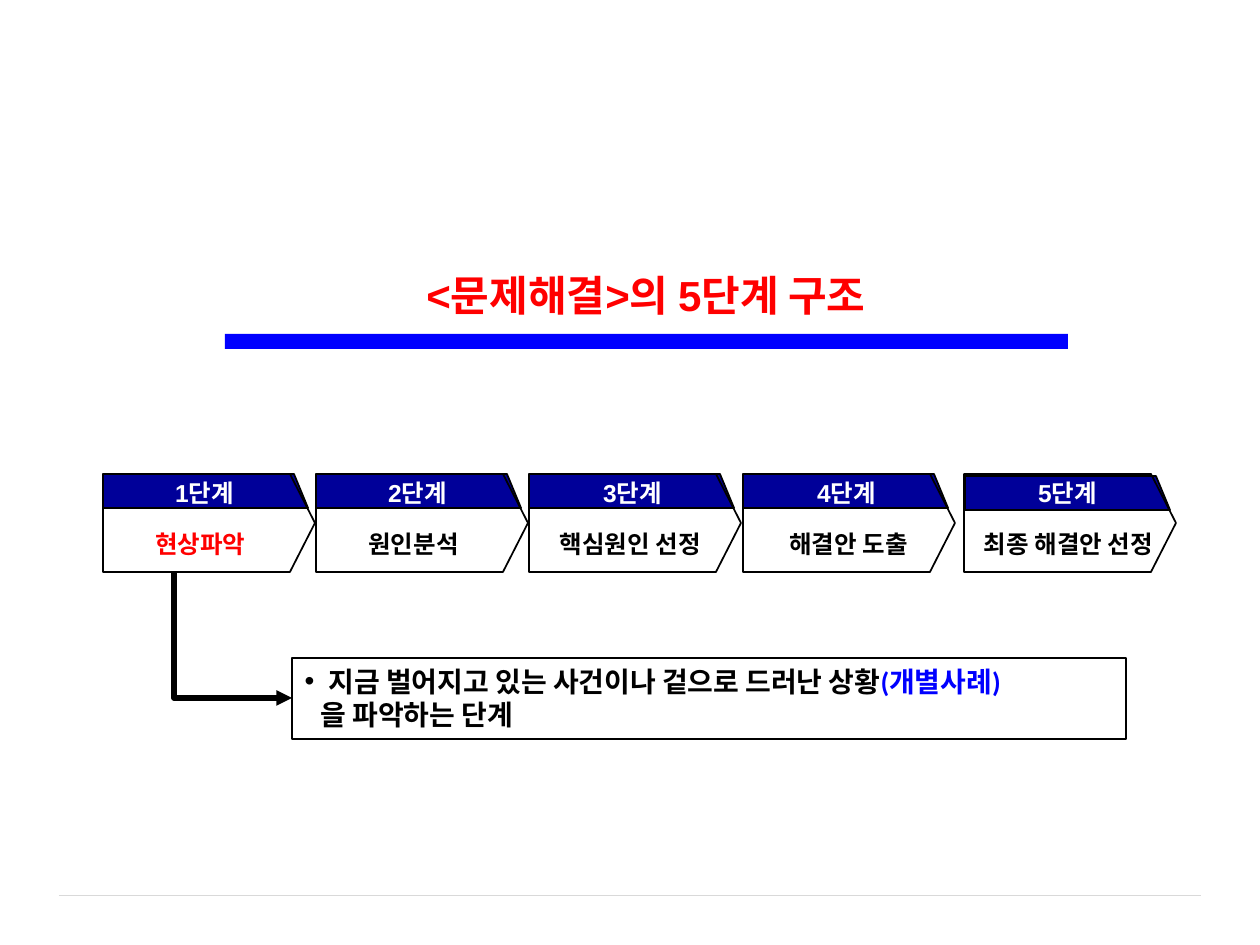
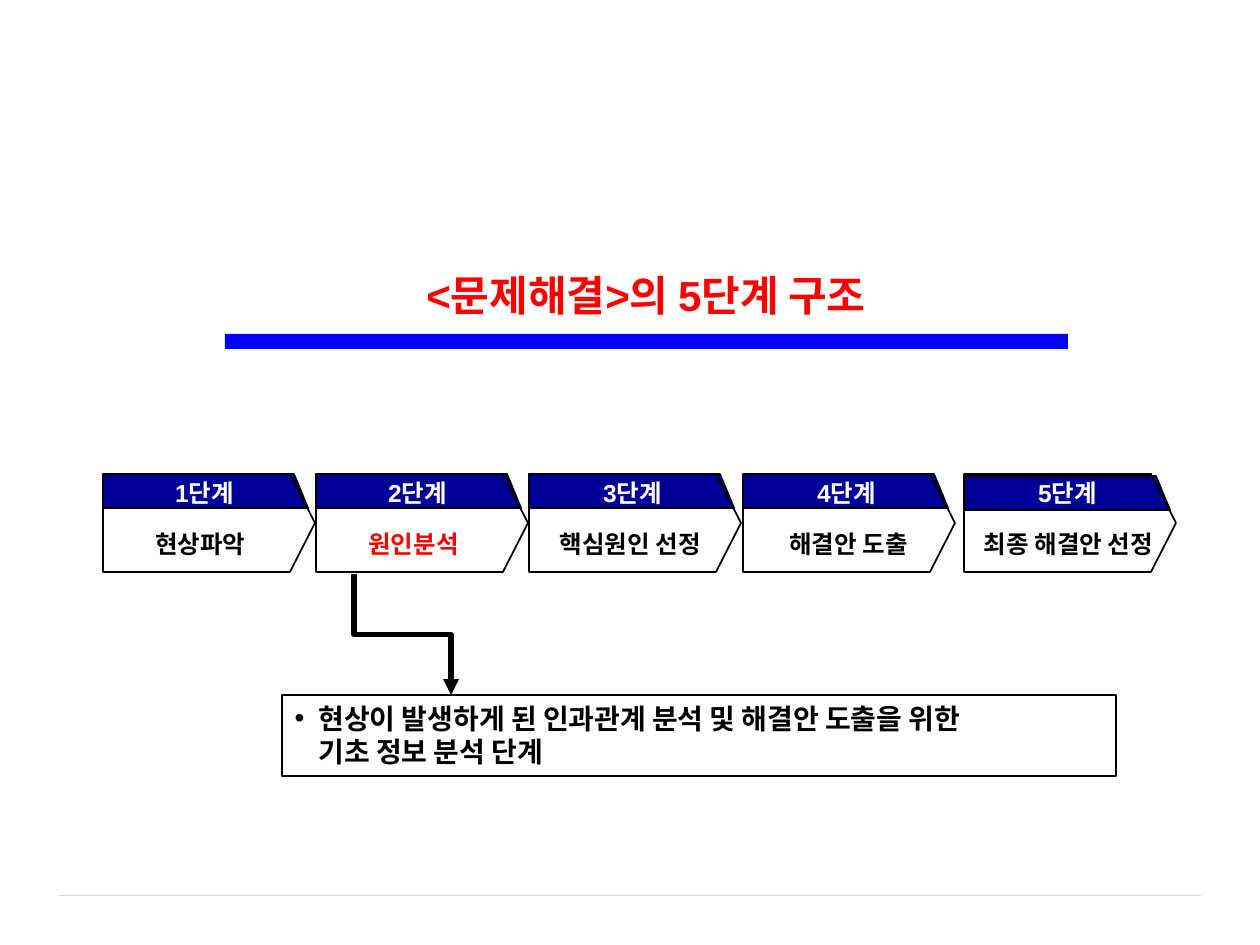
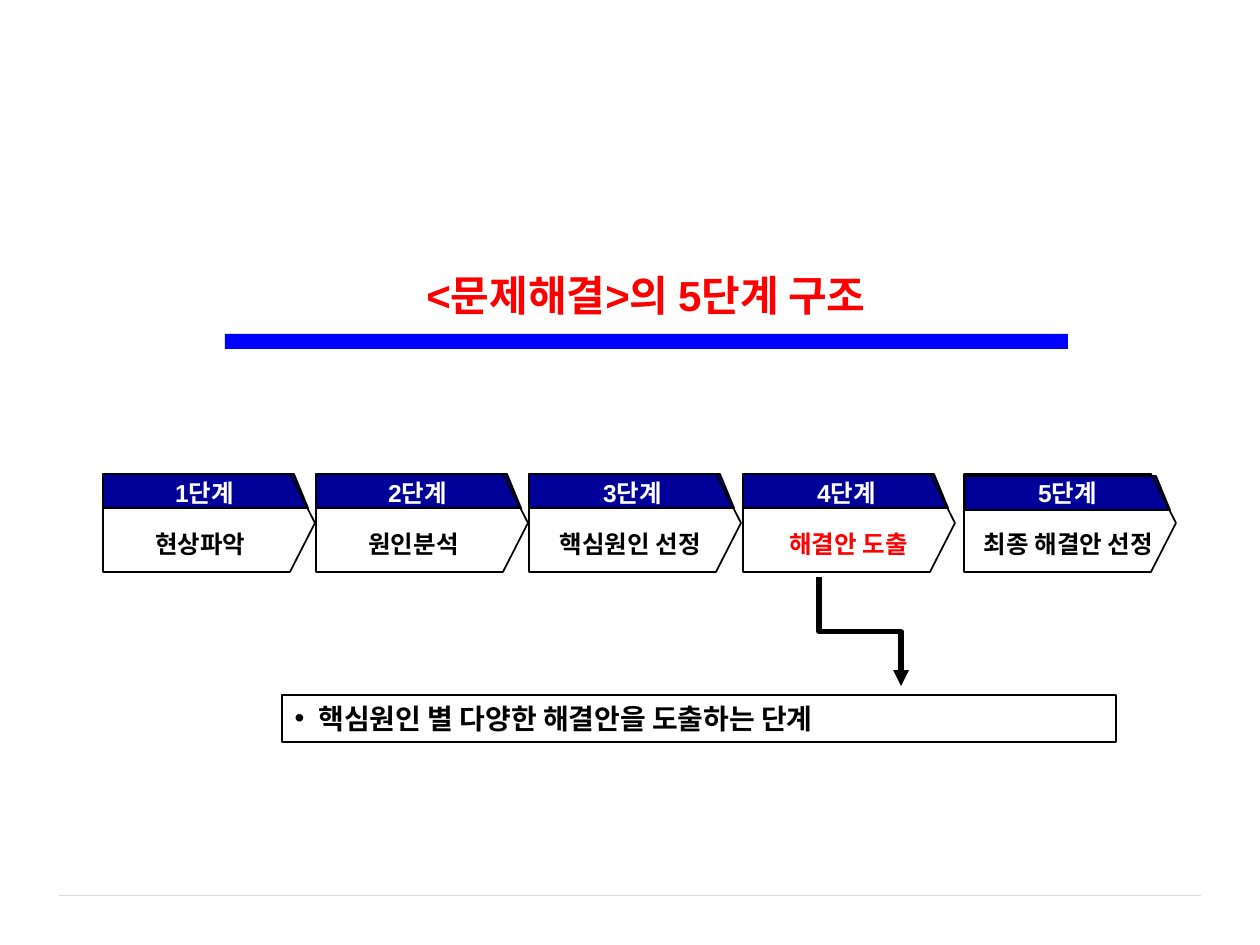
from lxml.etree import SubElement
from pptx import Presentation
from pptx.dml.color import RGBColor
from pptx.enum.shapes import MSO_CONNECTOR, MSO_SHAPE
from pptx.enum.text import MSO_ANCHOR, MSO_AUTO_SIZE, PP_ALIGN
from pptx.oxml.ns import qn
from pptx.util import Emu, Pt

RED, BLUE, NAVY = "FF0000", "0000FF", "000099"
BLACK, WHITE, GREY = "000000", "FFFFFF", "D9D9D9"

TITLE = "<문제해결>의 5단계 구조"

# name, plate left, (band shift right, down), label shift, name shift
STEPS = [
    ("현상파악", 103, (0, 0), -2, -10),
    ("원인분석", 316, (0, 0), -2, -10),
    ("핵심원인 선정", 529, (0, 0), 0, -6),
    ("해결안 도출", 743, (0, 0), 0, -2),
    ("최종 해결안 선정", 964, (1, 2), 0, -3),
]

# Each line of a note is its left indent and its (text, colour) spans
SLIDES = [
    dict(step=1, box=(292, 658, 834, 81), bend="bentConnector2",
         start=(174, 572), end=(292, 698),
         lines=[(24, [("지금 벌어지고 있는 사건이나 겉으로 드러난 상황", BLACK),
                      ("(개별사례)", BLUE)]),
                (16, [("을 파악하는 단계", BLACK)])]),
    dict(step=2, box=(282, 695, 834, 81), bend="bentConnector3",
         start=(354, 574), end=(451, 695),
         lines=[(24, [("현상이 발생하게 된 인과관계 분석 및 해결안 도출을 위한", BLACK)]),
                (24, [("기초 정보 분석 단계", BLACK)])]),
    dict(step=4, box=(282, 695, 834, 47), bend="bentConnector3",
         start=(819, 577), end=(901, 686),
         lines=[(24, [("핵심원인 별 다양한 해결안을 도출하는 단계", BLACK)])]),
]

PLATE_TOP, PLATE_WIDTH, PLATE_HEIGHT = 474, 212, 98
BAND_WIDTH, BAND_HEIGHT, BAND_SLANT = 205, 34, 14
HANGING = 24


def px(length):
    return Emu(round(length * 914400 / 126))


def rgb(color):
    return RGBColor.from_string(color)


def place(shape, left, top, width, height):
    shape.left, shape.top, shape.width, shape.height = map(px, (left, top, width, height))


def paint(shape, fill=None, line=None, weight=1):
    if fill:
        shape.fill.solid()
        shape.fill.fore_color.rgb = rgb(fill)
    else:
        shape.fill.background()
    if line:
        shape.line.color.rgb = rgb(line)
        shape.line.width = Pt(weight)
    else:
        shape.line.fill.background()


def set_font(font, name, size, color=None):
    font.name, font.size, font.bold = name, Pt(size), True
    if color:
        font.color.rgb = rgb(color)


def write_centred(shape, text, size, color, anchor=MSO_ANCHOR.TOP):
    frame = shape.text_frame
    frame.word_wrap = True
    frame.auto_size = MSO_AUTO_SIZE.NONE
    frame.vertical_anchor = anchor
    para = frame.paragraphs[0]
    para.text = text
    para.alignment = PP_ALIGN.CENTER
    set_font(para.font, "Arial", size, color)


def add_line(slide, kind, corners, color, weight):
    line = slide.shapes.add_connector(kind, *map(px, corners))
    line.line.color.rgb = rgb(color)
    line.line.width = Pt(weight)
    SubElement(line.element.spPr, qn("a:effectLst"))
    return line


def add_footer_line(deck, slide):
    """Draw the line and hand it to the master, which all slides share."""
    element = add_line(slide, MSO_CONNECTOR.STRAIGHT, (59, 895, 1201, 895), GREY, 0.5).element
    element.nvCxnSpPr.cNvPr.id = 99
    deck.slide_master.shapes.element.append(element)


def add_heading(slide):
    title = slide.shapes.title
    place(title, 185, 263, 922, 63)
    write_centred(title, TITLE, 24, RED)
    rule = slide.shapes.add_shape(MSO_SHAPE.RECTANGLE, *map(px, (225, 334, 843, 15)))
    rule.shadow.inherit = False
    paint(rule, fill=BLUE)


def add_step(slide, number, step, current):
    name, left, (right, down), label_shift, name_shift = step
    shapes = slide.shapes.add_group_shape().shapes

    x, y = left + right, PLATE_TOP + down
    outline = shapes.build_freeform(px(x), px(y))
    corners = [(x, y + BAND_HEIGHT), (x + BAND_WIDTH, y + BAND_HEIGHT),
               (x + BAND_WIDTH - BAND_SLANT, y)]
    outline.add_line_segments([(px(a), px(b)) for a, b in corners])
    band = outline.convert_to_shape()
    band.shadow.inherit = False
    paint(band, NAVY, BLACK)

    plate = shapes.add_shape(MSO_SHAPE.PENTAGON, px(left), px(PLATE_TOP),
                             px(PLATE_WIDTH), px(PLATE_HEIGHT))
    plate.adjustments[0] = 0.255
    plate.shadow.inherit = False
    paint(plate, line=BLACK)

    label_box = shapes.add_textbox(*map(px, (left + label_shift, 472, 207, 42)))
    write_centred(label_box, f"{number}단계", 14, WHITE)
    name_box = shapes.add_textbox(*map(px, (left + name_shift, 523, 215, 42)))
    write_centred(name_box, name, 14, RED if current else BLACK, MSO_ANCHOR.MIDDLE)


def add_note(slide, box, lines):
    note = slide.placeholders[1]
    place(note, *box)
    paint(note, line=BLACK, weight=0.75)
    frame = note.text_frame
    frame.auto_size = MSO_AUTO_SIZE.NONE
    frame.vertical_anchor = MSO_ANCHOR.TOP
    for index, (indent, spans) in enumerate(lines):
        para = frame.add_paragraph() if index else frame.paragraphs[0]
        para.space_before = Pt(0)
        set_font(para.font, "Calibri", 16)
        for text, color in spans:
            span = para.add_run()
            span.text = text
            span.font.color.rgb = rgb(color)
        properties = para._p.get_or_add_pPr()
        properties.set("marL", str(px(indent)))
        properties.set("indent", str(0 if index else -px(HANGING)))
        bullet = properties.makeelement(qn("a:buNone" if index else "a:buChar"))
        if not index:
            bullet.set("char", "•")
        properties.find(qn("a:defRPr")).addprevious(bullet)


def add_elbow_arrow(slide, start, end, bend):
    """An elbow leaves downwards when it is turned by 270 degrees and flipped."""
    (x1, y1), (x2, y2) = start, end
    across, down = x2 - x1, y2 - y1
    left, top = (x1 + x2 - down) / 2, (y1 + y2 - across) / 2
    arrow = add_line(slide, MSO_CONNECTOR.ELBOW,
                     (left, top, left + down, top + across), BLACK, 3)
    properties = arrow.element.spPr
    transform = properties.find(qn("a:xfrm"))
    transform.set("rot", str(270 * 60000))
    transform.set("flipH", "1")
    properties.find(qn("a:prstGeom")).set("prst", bend)
    SubElement(properties.find(qn("a:ln")), qn("a:tailEnd"), type="triangle")


def main():
    deck = Presentation()
    deck.slide_width, deck.slide_height = px(1260), px(945)
    for index, content in enumerate(SLIDES):
        slide = deck.slides.add_slide(deck.slide_layouts[1])
        if index == 0:
            add_footer_line(deck, slide)
        add_heading(slide)
        for number, step in enumerate(STEPS, 1):
            add_step(slide, number, step, number == content["step"])
        add_note(slide, content["box"], content["lines"])
        add_elbow_arrow(slide, content["start"], content["end"], content["bend"])
    deck.save("out.pptx")


if __name__ == "__main__":
    main()
